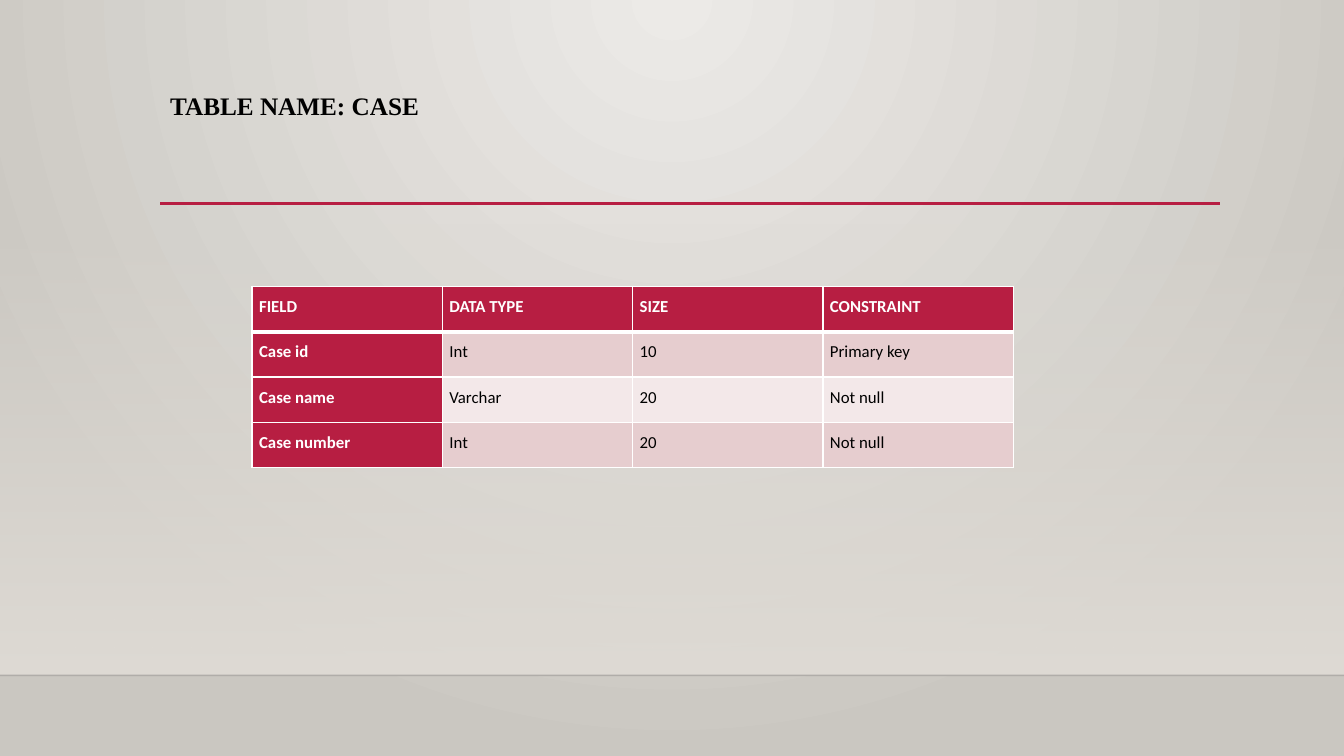
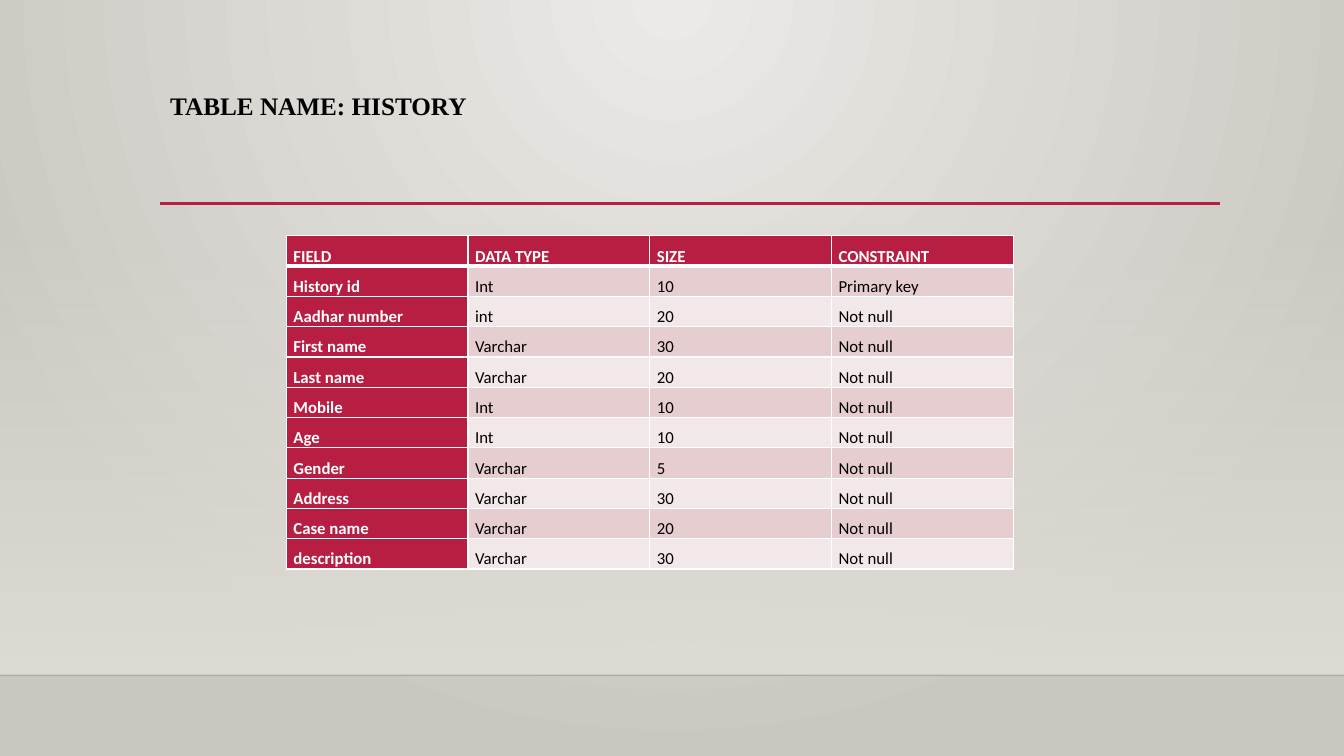
from lxml import etree
from pptx import Presentation
from pptx.dml.color import RGBColor
from pptx.enum.shapes import MSO_CONNECTOR, MSO_SHAPE
from pptx.oxml.ns import qn
from pptx.util import Inches, Pt

RECTANGLE = MSO_SHAPE.RECTANGLE
STRAIGHT = MSO_CONNECTOR.STRAIGHT

BLACK, WHITE, CRIMSON = "000000", "FFFFFF", "B71E42"
ROW_FILLS = ("E6CDCF", "F3E8E9")
BACKDROP = ("ECEAE7", "CAC7C1")
FLOOR = "DFDBD5"
FLOOR_EDGE = "000001"
TITLE_FONT, TABLE_FONT = "Times New Roman", "Calibri"
SLIDE_W, SLIDE_H = 13.33, 7.5
TITLE_LEFT, FLOOR_TOP, FLOOR_BOTTOM = 1.59, 2.21, 6.7

HEADER = ("FIELD", "DATA TYPE", "SIZE", "CONSTRAINT")
CASE_ROWS = (
    ("Case id", "Int", "10", "Primary key"),
    ("Case name", "Varchar", "20", "Not null"),
    ("Case number", "Int", "20", "Not null"),
)
HISTORY_ROWS = (
    ("History id", "Int", "10", "Primary key"),
    ("Aadhar number", "int", "20", "Not null"),
    ("First name", "Varchar", "30", "Not null"),
    ("Last name", "Varchar", "20", "Not null"),
    ("Mobile", "Int", "10", "Not null"),
    ("Age", "Int", "10", "Not null"),
    ("Gender", "Varchar", "5", "Not null"),
    ("Address", "Varchar", "30", "Not null"),
    ("Case name", "Varchar", "20", "Not null"),
    ("description", "Varchar", "30", "Not null"),
)


def rgb(color):
    return RGBColor.from_string(color)


def add_xml(parent, tag, **attrs):
    child = etree.SubElement(parent, qn(tag))
    for name, value in attrs.items():
        child.set(name, str(value))
    return child


def set_alpha(color_xml, percent):
    add_xml(color_xml, "a:alpha", val=percent * 1000)


def set_gradient(fill, colors):
    fill.gradient()
    for stop, color in zip(fill.gradient_stops, colors):
        stop.color.rgb = rgb(color)


def set_backdrop(master):
    """Give every slide a radial glow from the top centre."""
    set_gradient(master.background.fill, BACKDROP)
    grad = master.element.find(".//" + qn("p:bgPr")).find(qn("a:gradFill"))
    grad.remove(grad.find(qn("a:lin")))
    glow = add_xml(grad, "a:path", path="circle")
    add_xml(glow, "a:fillToRect", l=43000, t=0, r=43000, b=100000)


def add_floor(s):
    """Add the band that fades in towards the floor edge."""
    sp = s.shapes.add_shape(RECTANGLE, 0, Inches(FLOOR_TOP), Inches(SLIDE_W),
                            Inches(FLOOR_BOTTOM - FLOOR_TOP))
    sp.shadow.inherit = False
    sp.line.fill.background()
    set_gradient(sp.fill, (FLOOR, FLOOR))
    sp.fill.gradient_angle = 270
    set_alpha(sp.element.spPr.find(".//" + qn("a:srgbClr")), 0)


def add_rule(s, left, right, y, color, width):
    line = s.shapes.add_connector(STRAIGHT, Inches(left), Inches(y),
                                  Inches(right), Inches(y))
    line.line.color.rgb = rgb(color)
    line.line.width = Pt(width)
    add_xml(line.element.spPr, "a:effectLst")
    return line


def format_text(p, font, size, color, bold, spacing):
    p.line_spacing = spacing
    for r in p.runs:
        r.font.name = font
        r.font.size = Pt(size)
        r.font.bold = bold
        r.font.color.rgb = rgb(color)


def add_title(s, text):
    box = s.shapes.add_textbox(Inches(TITLE_LEFT), Inches(0.88),
                               Inches(10.5), Inches(1.15))
    tf = box.text_frame
    tf.word_wrap = True
    tf.text = text
    format_text(tf.paragraphs[0], TITLE_FONT, 18, BLACK, True, 0.9)


def set_borders(cell, top, bottom):
    tc_pr = cell._tc.get_or_add_tcPr()
    for side, width in (("L", 1), ("R", 1), ("T", top), ("B", bottom)):
        ln = add_xml(tc_pr, "a:ln" + side, w=Pt(width))
        add_xml(add_xml(ln, "a:solidFill"), "a:srgbClr", val=WHITE)


def fill_cell(cell, text, row, col):
    strong = row == 0 or col == 0
    set_borders(cell, 3 if row == 1 else 1, 3 if row == 0 else 1)
    cell.fill.solid()
    cell.fill.fore_color.rgb = rgb(CRIMSON if strong else ROW_FILLS[(row - 1) % 2])
    cell.margin_left = cell.margin_right = Inches(0.07)
    cell.margin_top = cell.margin_bottom = 0
    cell.text_frame.text = text
    format_text(cell.text_frame.paragraphs[0], TABLE_FONT, 12,
                WHITE if strong else BLACK, strong, 1.5)


def add_field_table(s, rows, left, top, width, row_height):
    rows = (HEADER, *rows)
    table = s.shapes.add_table(len(rows), len(HEADER), Inches(left), Inches(top),
                               Inches(width), Inches(row_height * len(rows))).table
    for i, row in enumerate(rows):
        for j, text in enumerate(row):
            fill_cell(table.cell(i, j), text, i, j)


def add_table_slide(prs, name, rows, left, top, width, row_height):
    s = prs.slides.add_slide(prs.slide_layouts[6])
    add_floor(s)
    edge = add_rule(s, 0, SLIDE_W, FLOOR_BOTTOM, FLOOR_EDGE, 1)
    set_alpha(edge.element.spPr.find(".//" + qn("a:srgbClr")), 20)
    add_rule(s, TITLE_LEFT, 12.1, 2.02, CRIMSON, 2.5)
    add_title(s, "TABLE NAME: " + name)
    add_field_table(s, rows, left, top, width, row_height)


def main():
    prs = Presentation()
    prs.slide_width, prs.slide_height = Inches(SLIDE_W), Inches(SLIDE_H)
    set_backdrop(prs.slide_master)
    add_table_slide(prs, "CASE", CASE_ROWS, 2.5, 2.84, 7.55, 0.45)
    add_table_slide(prs, "HISTORY", HISTORY_ROWS, 2.84, 2.34, 7.21, 0.29)
    prs.save("out.pptx")


if __name__ == "__main__":
    main()
